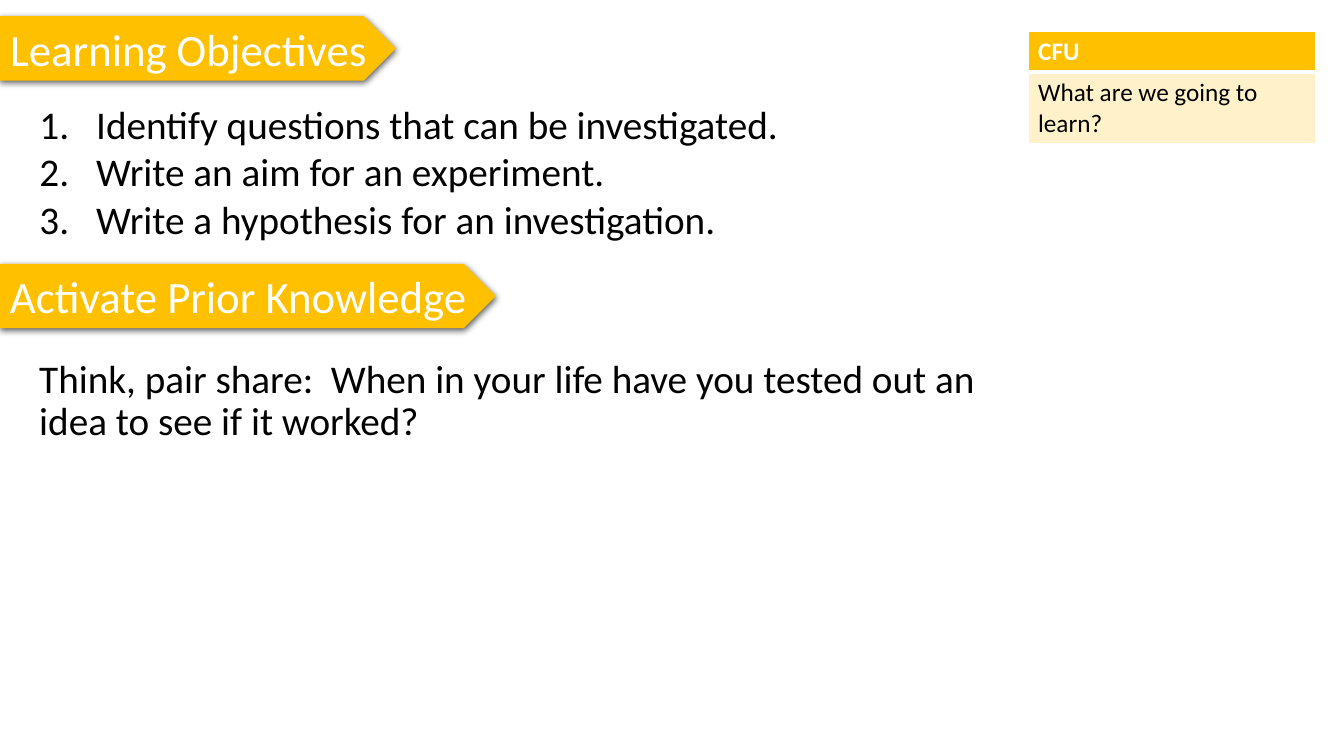
"""Build a lesson slide with objectives, a prior-knowledge prompt and a check question."""
from dataclasses import dataclass

from lxml import etree
from pptx import Presentation
from pptx import util as u
from pptx.dml import color
from pptx.enum import shapes, text
from pptx.oxml import ns


@dataclass(frozen=True)
class Theme:
    font: str = "Calibri"
    accent: str = "FFC000"
    tint: str = "FFE699"
    light: str = "FFFFFF"
    dark: str = "000000"
    heading: int = 32
    body: int = 28
    table: int = 18


THEME = Theme()
LEFT = 0.74
BODY_WIDTH = 24.79
BANNER_HEIGHT = 1.62
LEARNING_BANNER = (0, 0.41, 9.98, BANNER_HEIGHT)
PRIOR_BANNER = (0, 6.65, 12.5, BANNER_HEIGHT)


def cm(values):
    return [u.Cm(value) for value in values]


def child(parent, tag, **attributes):
    element = etree.SubElement(parent, ns.qn(tag))
    for name, value in attributes.items():
        element.set(name, str(value))
    return element


def format_text(para, content, size=THEME.body, ink=THEME.dark, bold=False, spacing=1.0):
    para.alignment = text.PP_ALIGN.LEFT
    para.line_spacing = spacing
    para.space_before = u.Pt(0)
    span = para.add_run()
    span.text = content
    span.font.name = THEME.font
    span.font.size = u.Pt(size)
    span.font.bold = bold
    span.font.color.rgb = color.RGBColor.from_string(ink)


def prepare_frame(box, wrap=True, anchor=text.MSO_ANCHOR.TOP):
    frame = box.text_frame
    frame.word_wrap = wrap
    frame.auto_size = text.MSO_AUTO_SIZE.NONE
    frame.vertical_anchor = anchor
    return frame


def place(box, bounds):
    box.left, box.top, box.width, box.height = cm(bounds)


def add_shadow(box):
    effects = child(box._element.spPr, "a:effectLst")
    shadow = child(effects, "a:outerShdw", blurRad=u.Pt(4.5), dist=u.Pt(1.5),
                   dir=5400000, algn="t", rotWithShape=0)
    ink = child(shadow, "a:srgbClr", val=THEME.dark)
    child(ink, "a:alpha", val=63000)


def add_banner(page, bounds):
    box = page.shapes.add_shape(shapes.MSO_SHAPE.PENTAGON, *cm(bounds))
    box.fill.solid()
    box.fill.fore_color.rgb = color.RGBColor.from_string(THEME.accent)
    box.line.fill.background()
    add_shadow(box)
    return box


def write_heading(box, content):
    frame = prepare_frame(box, wrap=False, anchor=text.MSO_ANCHOR.MIDDLE)
    format_text(frame.paragraphs[0], content, size=THEME.heading, ink=THEME.light)


def fill_title(page, content, bounds):
    banner = add_banner(page, bounds)
    box = page.shapes.title
    box._element.addprevious(banner._element)
    place(box, bounds)
    write_heading(box, content)


def fill_list(box, items, bounds):
    place(box, bounds)
    frame = prepare_frame(box)
    for index, item in enumerate(items):
        para = frame.add_paragraph() if index else frame.paragraphs[0]
        format_text(para, item)
        properties = para._p.get_or_add_pPr()
        properties.set("marL", str(u.Cm(1.43)))
        properties.set("indent", str(u.Cm(-1.43)))
        child(properties, "a:buFont", typeface="+mj-lt")
        child(properties, "a:buAutoNum", type="arabicPeriod")


def add_prompt(page, content, bounds):
    box = page.shapes.add_textbox(*cm(bounds))
    format_text(prepare_frame(box).paragraphs[0], content, spacing=0.9)


def set_borders(cell, **widths):
    properties = cell._tc.get_or_add_tcPr()
    for side in "LRTB":
        line = child(properties, f"a:ln{side}", w=u.Pt(widths.get(side, 1)))
        child(child(line, "a:solidFill"), "a:srgbClr", val=THEME.light)


def fill_cell(cell, content, fill, ink, bold=False, alpha=100):
    cell.fill.solid()
    cell.fill.fore_color.rgb = color.RGBColor.from_string(fill)
    if alpha < 100:
        tone = cell._tc.tcPr.find(ns.qn("a:solidFill")).find(ns.qn("a:srgbClr"))
        child(tone, "a:alpha", val=alpha * 1000)
    format_text(cell.text_frame.paragraphs[0], content, size=THEME.table, ink=ink, bold=bold)


def add_check(page, header, question, bounds, heights):
    table = page.shapes.add_table(2, 1, *cm(bounds)).table
    for row, height in zip(table.rows, heights):
        row.height = u.Cm(height)
    top, bottom = table.cell(0, 0), table.cell(1, 0)
    set_borders(top, B=3)
    set_borders(bottom, T=3)
    fill_cell(top, header, THEME.accent, THEME.light, bold=True)
    fill_cell(bottom, question, THEME.tint, THEME.dark, alpha=50)


def main():
    deck = Presentation()
    deck.slide_width, deck.slide_height = cm((33.87, 19.05))
    page = deck.slides.add_slide(deck.slide_layouts[1])
    fill_title(page, "Learning Objectives", LEARNING_BANNER)
    fill_list(page.placeholders[1], (
        "Identify questions that can be investigated.",
        "Write an aim for an experiment.",
        "Write a hypothesis for an investigation.",
    ), (LEFT, 2.41, BODY_WIDTH, 3.84))
    write_heading(add_banner(page, PRIOR_BANNER), "Activate Prior Knowledge")
    add_prompt(page, "Think, pair share:  When in your life have you tested out an "
               "idea to see if it worked?", (LEFT, 8.94, BODY_WIDTH, 2.72))
    add_check(page, "CFU", "What are we going to learn?",
              (25.91, 0.79, 7.24, 2.79), (0.99, 1.8))
    deck.save("out.pptx")


if __name__ == "__main__":
    main()
